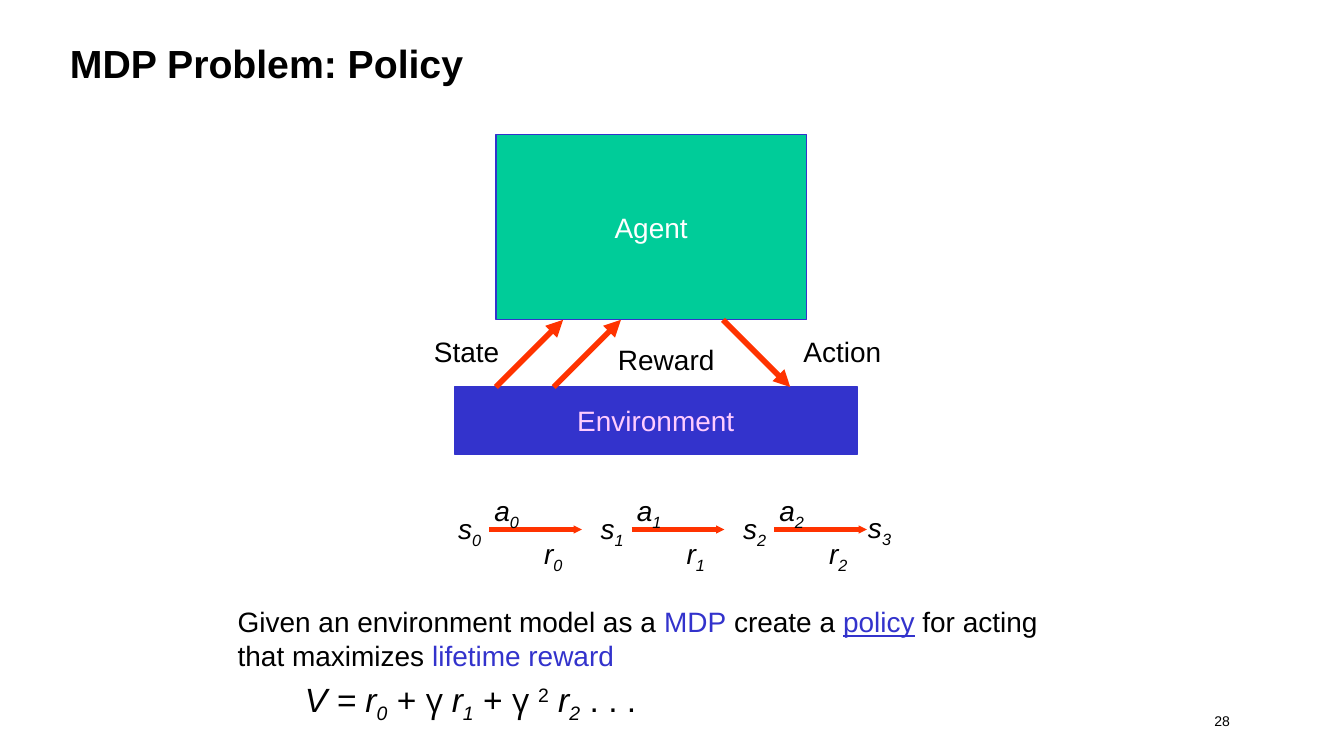
"""Build the slide on the policy of an MDP problem."""
from lxml import etree
from pptx import Presentation
from pptx import util as u
from pptx.dml.color import RGBColor
from pptx.enum import shapes, text
from pptx.oxml.ns import qn

inks = {"black": "000000", "white": "FFFFFF", "blue": "3333CC",
        "green": "00CC99", "pink": "FFCCFF", "red": "FF3300"}
sub = {"italic": True, "base": -25}
ital = {"italic": True}


def write(para, parts, size=15, ink="black"):
    for words, form in parts:
        run = para.add_run()
        run.text = words
        look = {"name": "Arial", "size": u.Pt(size), **form}
        run.font.color.rgb = RGBColor.from_string(inks[look.pop("ink", ink)])
        base = look.pop("base", 0)
        if base:
            run._r.get_or_add_rPr().set("baseline", str(base * 1000))
        for key, val in look.items():
            setattr(run.font, key, val)


def arrow(start, end, width, head):
    ends = [u.Inches(n) for n in (*start, *end)]
    line = slide.shapes.add_connector(shapes.MSO_CONNECTOR.STRAIGHT, *ends)
    line.line.width = u.Pt(width)
    line.line.color.rgb = RGBColor.from_string(inks["red"])
    etree.SubElement(line.line._get_or_add_ln(), qn("a:tailEnd"),
                     type="triangle", w=head, len=head)
    etree.SubElement(line._element.spPr, qn("a:effectLst"))


deck = Presentation()
deck.slide_width = u.Inches(10)
deck.slide_height = deck.slide_width * 9 // 16
slide = deck.slides.add_slide(deck.slide_layouts[5])

title = slide.shapes.title
spot = {"left": 0.42, "top": 0.12, "width": 8.5, "height": 0.69}
for key, val in spot.items():
    setattr(title, key, u.Inches(val))
title.text_frame.vertical_anchor = text.MSO_ANCHOR.MIDDLE
head = title.text_frame.paragraphs[0]
head.alignment = text.PP_ALIGN.LEFT
write(head, [("MDP Problem: Policy", {"bold": True})], 21)

blocks = [("Agent", (3.69, 1, 2.31, 1.38), "green", "white"),
          ("Environment", (3.38, 2.88, 3, 0.5), "blue", "pink")]
for name, area, fill, ink in blocks:
    block = slide.shapes.add_shape(shapes.MSO_SHAPE.RECTANGLE, *map(u.Inches, area))
    block.shadow.inherit = False
    block.fill.solid()
    block.fill.fore_color.rgb = RGBColor.from_string(inks[fill])
    block.line.color.rgb = RGBColor.from_string(inks["blue"])
    block.line.width = u.Pt(0.75)
    block.text_frame.vertical_anchor = text.MSO_ANCHOR.MIDDLE
    para = block.text_frame.paragraphs[0]
    para.alignment = text.PP_ALIGN.CENTER
    write(para, [(name, {})], ink=ink)

labels = [((3.13, 2.44, 0.69, 0.35), [("State", {})]),
          ((4.5, 2.5, 0.93, 0.35), [("Reward", {})]),
          ((5.88, 2.44, 0.79, 0.35), [("Action", {})]),
          ((6.36, 3.75, 0.39, 0.39), [("s", ital), ("3", sub)])]
for step in range(3):
    shift = 1.06 * step
    for sign, left, top, width in [("s", 3.31, 3.76, 0.38), ("r", 3.95, 3.94, 0.35),
                                   ("a", 3.58, 3.62, 0.4)]:
        labels.append(((left + shift, top, width, 0.35),
                       [(sign, ital), (str(step), sub)]))
    arrow((3.64 + shift, 3.94), (4.33 + shift, 3.94), 2.25, "sm")

for area, parts in labels:
    label = slide.shapes.add_textbox(*map(u.Inches, area))
    label.text_frame.word_wrap = False
    write(label.text_frame.paragraphs[0], parts)

for left, top, end in [(3.69, 2.88, 2.38), (4.12, 2.88, 2.38), (5.38, 2.38, 2.88)]:
    arrow((left, top), (left + 0.5, end), 3, "med")

goal = slide.shapes.add_textbox(*map(u.Inches, (1.67, 4.45, 6.2, 0.97))).text_frame
goal.word_wrap = True
blue = {"ink": "blue"}
write(goal.paragraphs[0], [
    ("Given an environment model as a ", {}), ("MDP", blue), (" create a ", {}),
    ("policy", {**blue, "underline": True}), (" for acting that maximizes ", {}),
    ("lifetime reward", blue)])
sum_line = goal.add_paragraph()
sum_line.level = 1
sum_line.space_before = u.Pt(3.6)
greek = {"name": "Open Sans"}
write(sum_line, [
    ("V = r", ital), ("0", sub), (" + ", {}), ("γ ", greek), ("r", ital), ("1", sub),
    (" + ", {}), ("γ ", greek), ("2", {"base": 30}), (" r", ital), ("2", sub),
    (" . . .", {})], 18)

page = slide.shapes.add_textbox(*map(u.Inches, (6.83, 5.25, 2.42, 0.25))).text_frame
page.word_wrap = True
page.paragraphs[0].alignment = text.PP_ALIGN.RIGHT
write(page.paragraphs[0], [("28", {})], 7.5)

deck.save("out.pptx")
